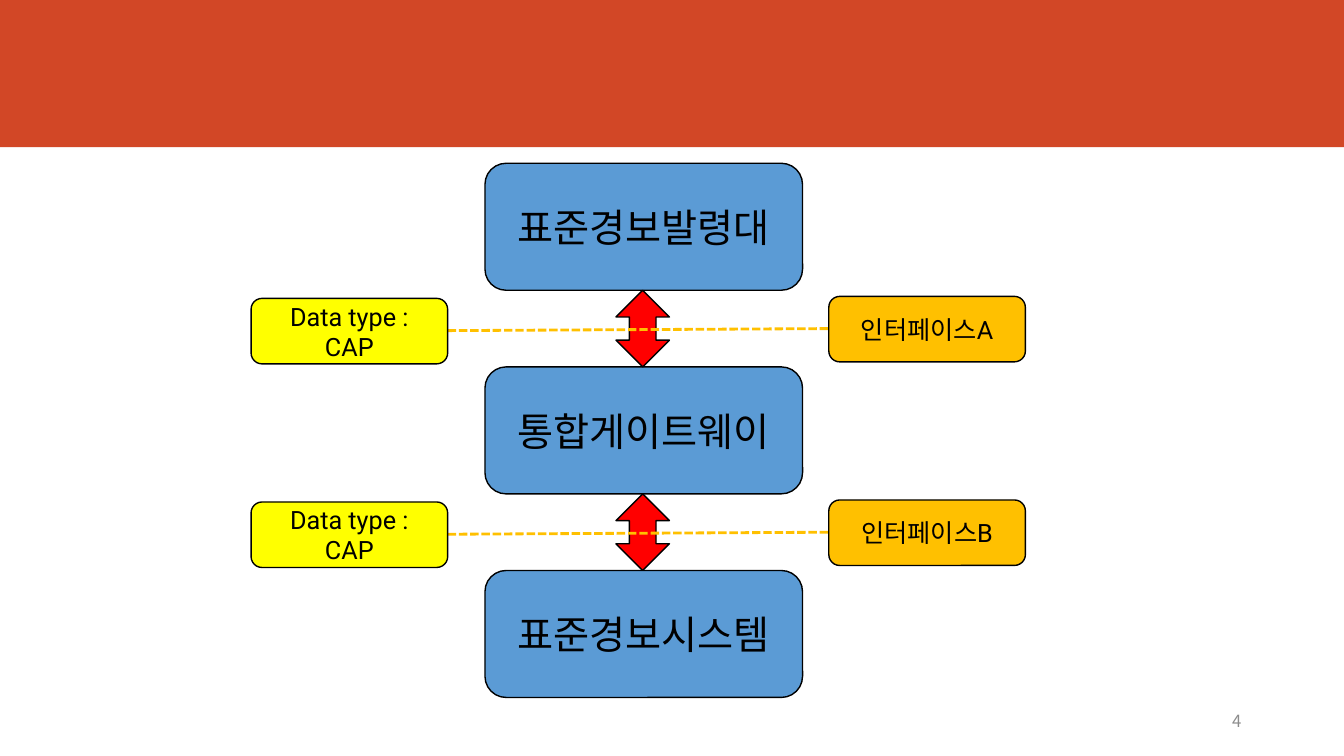
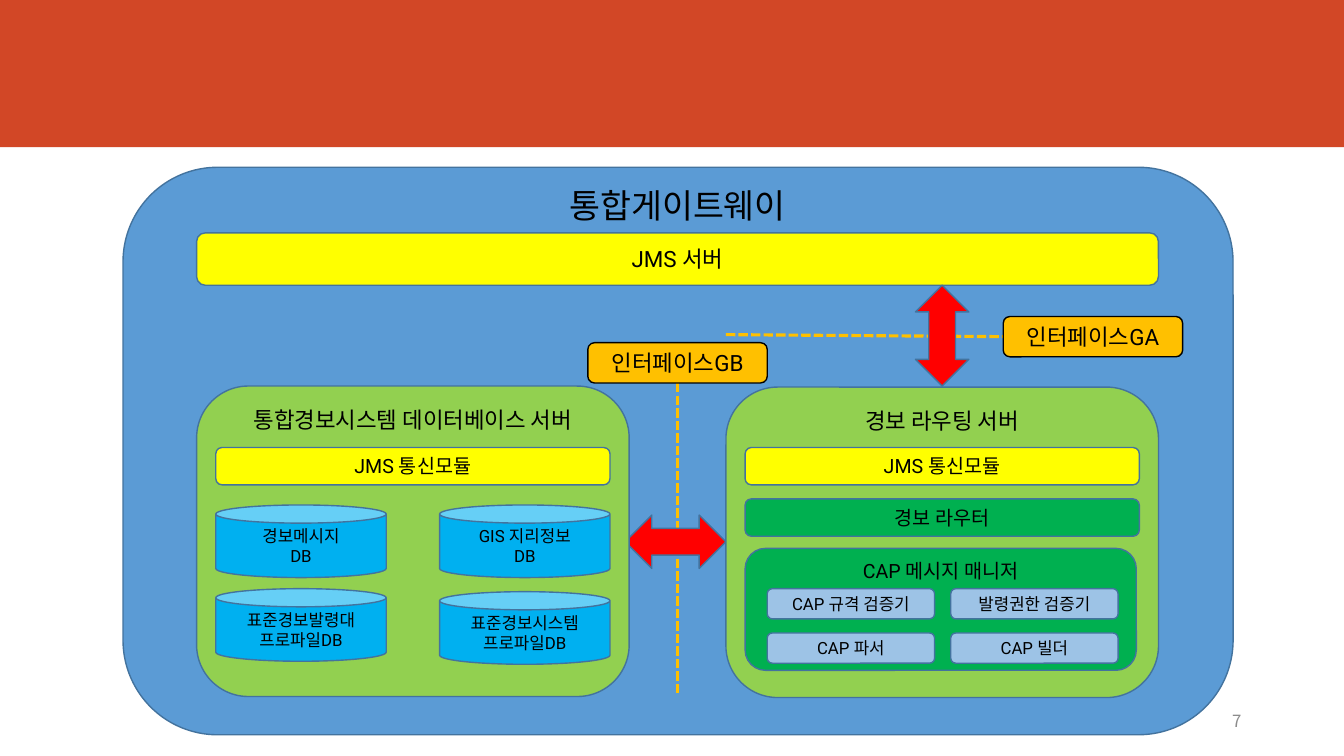
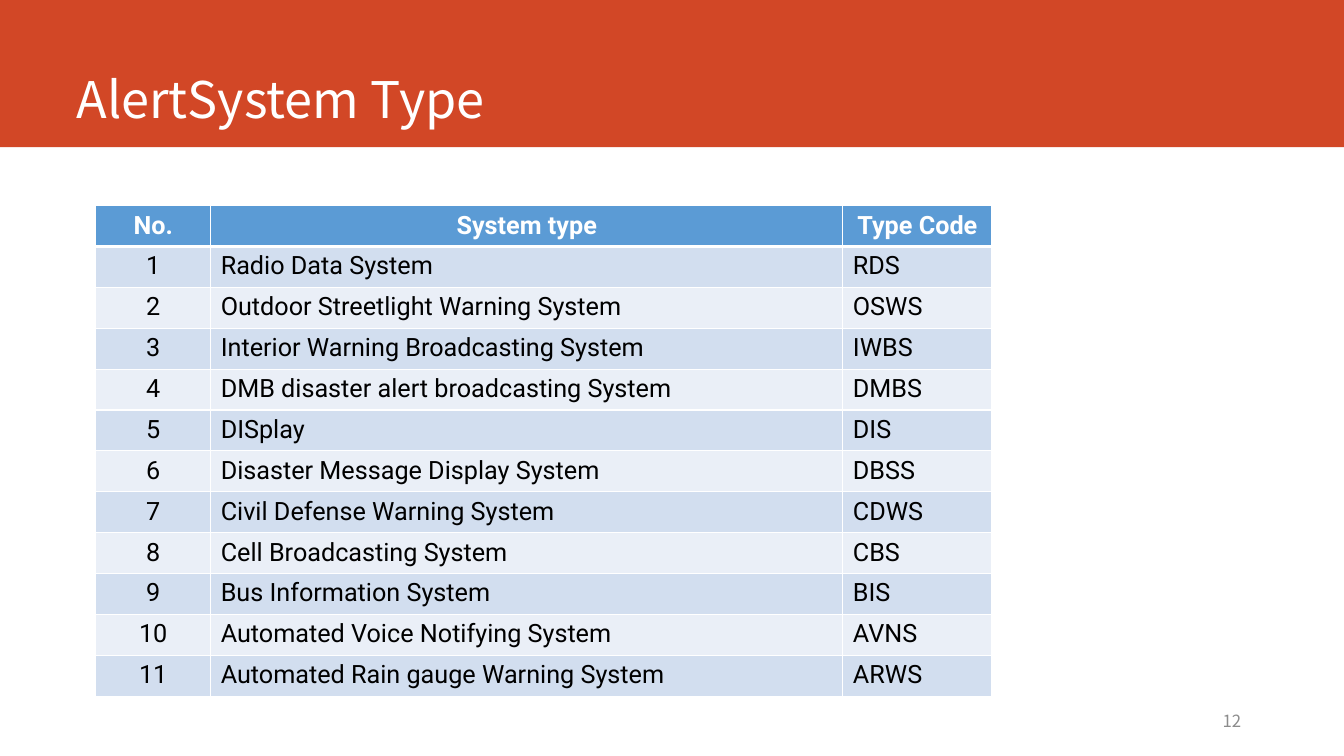
"""Build three slides on an alert gateway and its system types."""
from lxml.etree import SubElement
from pptx import Presentation
from pptx.dml.color import RGBColor
from pptx.enum.dml import MSO_LINE
from pptx.enum.shapes import MSO_CONNECTOR, MSO_SHAPE
from pptx.enum.text import MSO_ANCHOR, PP_ALIGN
from pptx.oxml.ns import qn
from pptx.util import Emu, Pt

PX = 9144
WIDE, HIGH = 1333, 750
HEX = {
    "band": "D24726", "white": "FFFFFF", "black": "000000", "gray": "8C8C8C",
    "blue": "5B9BD5", "edge": "43739E", "gold": "FFC000", "yellow": "FFFF00",
    "red": "FF0000", "lime": "92D050", "sky": "00B0F0", "green": "00B050",
    "pale": "9DC3E6", "odd": "D2DEEF", "even": "EAEFF7",
}
LATIN, HANGUL = "Roboto", "Noto Sans CJK KR"
ROUND, CAN = MSO_SHAPE.ROUNDED_RECTANGLE, MSO_SHAPE.CAN
UP_DOWN, LEFT_RIGHT = MSO_SHAPE.UP_DOWN_ARROW, MSO_SHAPE.LEFT_RIGHT_ARROW
LEFT, CENTER, RIGHT = PP_ALIGN.LEFT, PP_ALIGN.CENTER, PP_ALIGN.RIGHT
TOP, MIDDLE, BOTTOM = MSO_ANCHOR.TOP, MSO_ANCHOR.MIDDLE, MSO_ANCHOR.BOTTOM

SYSTEMS = [
    ("Radio Data System", "RDS"),
    ("Outdoor Streetlight Warning System", "OSWS"),
    ("Interior Warning Broadcasting System", "IWBS"),
    ("DMB disaster alert broadcasting System", "DMBS"),
    ("DISplay", "DIS"),
    ("Disaster Message Display System", "DBSS"),
    ("Civil Defense Warning System", "CDWS"),
    ("Cell Broadcasting System", "CBS"),
    ("Bus Information System", "BIS"),
    ("Automated Voice Notifying System", "AVNS"),
    ("Automated Rain gauge Warning System", "ARWS"),
]


def scale(*sizes):
    """Turn px lengths into EMU."""
    return [Emu(size * PX) for size in sizes]


def tint(name):
    """Look up a named colour."""
    return RGBColor.from_string(HEX[name])


def write(frame, text, size=18, color="black", font=LATIN, align=CENTER,
          anchor=MIDDLE, bold=False):
    """Fill a text frame, one paragraph for each line of text."""
    frame.word_wrap = True
    frame.vertical_anchor = anchor
    for index, line in enumerate(text.split("\n")):
        para = frame.add_paragraph() if index else frame.paragraphs[0]
        para.alignment = align
        run = para.add_run()
        run.text = line
        run.font.size, run.font.name, run.font.bold = Pt(size), font, bold
        run.font.color.rgb = tint(color)
        SubElement(run.font._element, qn("a:ea")).set("typeface", HANGUL)


def label(slide, place, text, **style):
    """Add a text box."""
    write(slide.shapes.add_textbox(*scale(*place)).text_frame, text, **style)


def block(slide, place, fill, text="", kind=ROUND, edge="edge", **style):
    """Add a filled shape with optional text."""
    shape = slide.shapes.add_shape(kind, *scale(*place))
    shape.shadow.inherit = False
    shape.fill.solid()
    shape.fill.fore_color.rgb = tint(fill)
    if edge:
        shape.line.color.rgb = tint(edge)
        shape.line.width = Pt(1)
    else:
        shape.line.fill.background()
    if text:
        write(shape.text_frame, text, **style)


def dash(slide, start, end, width=2.25):
    """Add a dashed gold line."""
    line = slide.shapes.add_connector(
        MSO_CONNECTOR.STRAIGHT, *scale(*start, *end))
    line.line.color.rgb = tint("gold")
    line.line.width = Pt(width)
    line.line.dash_style = MSO_LINE.SQUARE_DOT
    SubElement(line._element.spPr, qn("a:effectLst"))


def base(deck, number, title=""):
    """Add a slide with its band, title and number."""
    slide = deck.slides.add_slide(deck.slide_layouts[6])
    block(slide, (0, 0, WIDE, 146), "band", kind=MSO_SHAPE.RECTANGLE, edge=None)
    if title:
        label(slide, (66, 0, 1176, 132), title, size=36, color="white",
              font=HANGUL, align=LEFT, anchor=BOTTOM)
    label(slide, (883, 695, 358, 40), str(number), size=12, color="gray",
          font=HANGUL, align=RIGHT)
    return slide


def border(cell, **widths):
    """Draw white cell borders with widths in points."""
    props = cell._tc.get_or_add_tcPr()
    for side in "LRTB":
        line = SubElement(props, qn("a:ln" + side))
        line.set("w", str(Pt(widths.get(side, 1))))
        fill = SubElement(line, qn("a:solidFill"))
        SubElement(fill, qn("a:srgbClr")).set("val", HEX["white"])


def flow(deck):
    """Build the chain of stations and interfaces."""
    slide = base(deck, 4)
    step = 202
    for row, name in enumerate(("표준경보발령대", "통합게이트웨이", "표준경보시스템")):
        block(slide, (481, 162 + row * step, 315, 126), "blue", name,
              edge="black", size=28)
    for row, name in enumerate("AB"):
        down = row * step
        block(slide, (611, 288 + down, 53, 76), "red", kind=UP_DOWN, edge="black")
        dash(slide, (444, 328 + down), (822, 326 + down), width=2)
        block(slide, (822, 294 + down, 195, 65), "gold", "인터페이스" + name,
              edge="black")
        block(slide, (249, 296 + down, 195, 65), "yellow", "Data type :\nCAP",
              edge="black")


def panel(slide, left, top, name):
    """Add a server panel with its messaging module."""
    block(slide, (left, top, 429, 308), "lime", name, size=16, anchor=TOP)
    block(slide, (left + 19, 444, 391, 37), "yellow", "JMS 통신모듈", size=14)


def gateway(deck):
    """Build the inside of the gateway."""
    slide = base(deck, 7)
    block(slide, (122, 166, 1101, 563), "blue")
    label(slide, (195, 178, 954, 50), "통합게이트웨이", size=24)
    block(slide, (195, 231, 954, 52), "yellow", "JMS 서버", size=16)
    dash(slide, (672, 380), (672, 691))
    dash(slide, (720, 332), (995, 334))
    for left, top, name in ((995, 314, "GA"), (583, 340, "GB")):
        block(slide, (left, top, 178, 40), "gold", "인터페이스" + name,
              edge="black", size=16)
    block(slide, (620, 511, 100, 53), "red", kind=LEFT_RIGHT)
    block(slide, (908, 283, 53, 100), "red", kind=UP_DOWN)

    panel(slide, 195, 383, "통합경보시스템 데이터베이스 서버")
    stores = (
        (214, 501, "경보메시지\nDB"), (436, 501, "GIS 지리정보\nDB"),
        (214, 584, "표준경보발령대 프로파일DB"), (436, 587, "표준경보시스템 프로파일DB"),
    )
    for left, top, name in stores:
        block(slide, (left, top, 169, 72), "sky", name, kind=CAN, size=12)

    panel(slide, 720, 384, "경보 라우팅 서버")
    block(slide, (739, 495, 391, 37), "green", "경보 라우터", size=14)
    block(slide, (739, 544, 388, 121), "green", "CAP 메시지 매니저", size=14,
          anchor=TOP)
    tools = ("CAP 규격 검증기", "발령권한 검증기", "CAP 파서", "CAP 빌더")
    for index, name in enumerate(tools):
        row, col = divmod(index, 2)
        block(slide, (761 + col * 182, 584 + row * 44, 166, 30), "pale", name,
              size=12)


def types(deck):
    """Build the table of alert system types."""
    slide = base(deck, 12, "AlertSystem Type")
    rows = [("No.", "System type", "Type Code")]
    rows += [(str(no), *item) for no, item in enumerate(SYSTEMS, 1)]
    grid = slide.shapes.add_table(
        len(rows), 3, *scale(95, 204, 889, 487)).table
    for col, width in zip(grid.columns, scale(114, 627, 148)):
        col.width = width
    for row, texts in enumerate(rows):
        head = row == 0
        fill = "blue" if head else "odd" if row % 2 else "even"
        for col, text in enumerate(texts):
            cell = grid.cell(row, col)
            border(cell, B=3 if head else 1, T=3 if row == 1 else 1)
            cell.fill.solid()
            cell.fill.fore_color.rgb = tint(fill)
            write(cell.text_frame, text, color="white" if head else "black",
                  align=CENTER if head or col == 0 else LEFT, anchor=TOP,
                  bold=head)


def main():
    """Build and save the deck."""
    deck = Presentation()
    deck.slide_width, deck.slide_height = scale(WIDE, HIGH)
    flow(deck)
    gateway(deck)
    types(deck)
    deck.save("out.pptx")


if __name__ == "__main__":
    main()
